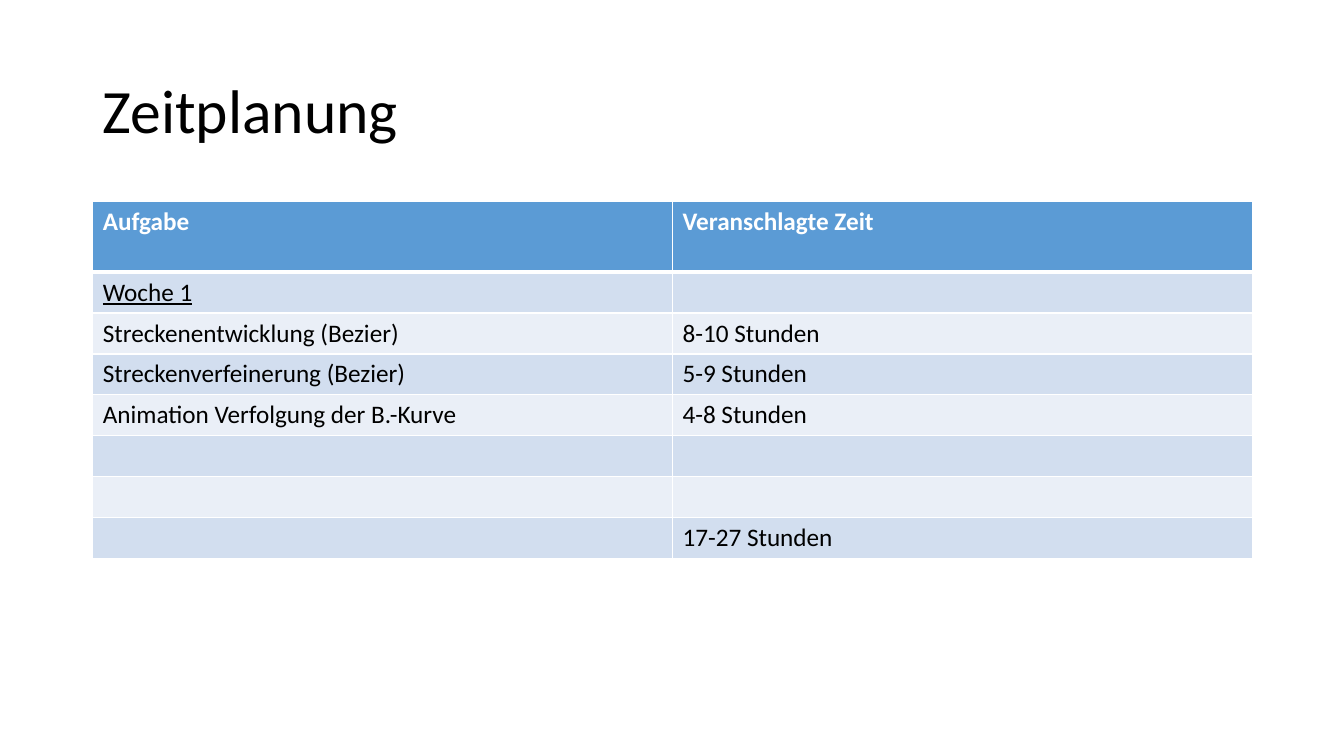
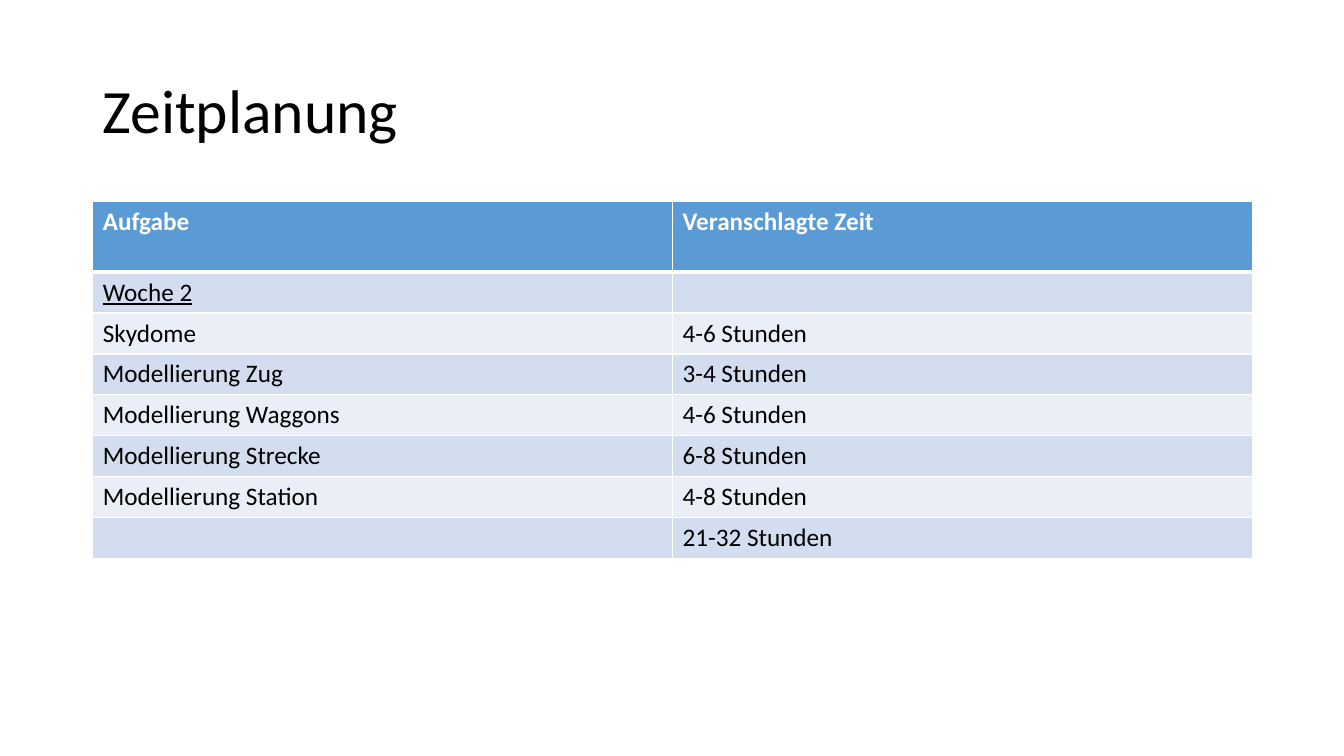
"""Builds two schedule slides, each with a title and a table of tasks and hours."""
from lxml import etree
from pptx import Presentation
from pptx.dml.color import RGBColor
from pptx.enum.text import MSO_ANCHOR
from pptx.oxml.ns import qn
from pptx.util import Inches, Pt

MIDDLE = MSO_ANCHOR.MIDDLE

TITLE = "Zeitplanung"
HEADER = ("Aufgabe", "Veranschlagte Zeit")
WEEKS = [
    [
        ("Woche 1", ""),
        ("Streckenentwicklung (Bezier)", "8-10 Stunden"),
        ("Streckenverfeinerung (Bezier)", "5-9 Stunden"),
        ("Animation Verfolgung der B.-Kurve", "4-8 Stunden"),
        ("", ""),
        ("", ""),
        ("", "17-27 Stunden"),
    ],
    [
        ("Woche 2", ""),
        ("Skydome", "4-6 Stunden"),
        ("Modellierung Zug", "3-4 Stunden"),
        ("Modellierung Waggons", "4-6 Stunden"),
        ("Modellierung Strecke", "6-8 Stunden"),
        ("Modellierung Station", "4-8 Stunden"),
        ("", "21-32 Stunden"),
    ],
]

COLORS = {
    "text": "000000",
    "white": "FFFFFF",
    "header": "5B9BD5",
    "odd": "D2DEEF",
    "even": "EAEFF7",
}
FORMATS = {
    "title": {"size": Pt(44), "color": "text"},
    "header": {"size": Pt(18), "color": "white", "bold": True},
    "week": {"size": Pt(18), "color": "text", "underline": True},
    "body": {"size": Pt(18), "color": "text"},
}
FONT = "Calibri"
WIDTH, HEIGHT = 13.33, 7.5
MARGIN, CONTENT_WIDTH = 0.92, 11.5
TITLE_TOP, TITLE_HEIGHT = 0.4, 1.45
TABLE_TOP, TABLE_HEIGHT, HEADER_HEIGHT = 2, 3.54, 0.7
THIN, THICK = 1, 3


def write(para, text, style):
    span = para.add_run()
    span.text = text
    span.font.name = FONT
    for name, value in FORMATS[style].items():
        if name == "color":
            span.font.color.rgb = RGBColor.from_string(COLORS[value])
        else:
            setattr(span.font, name, value)


def add_title(page):
    box = page.shapes.add_textbox(
        Inches(MARGIN), Inches(TITLE_TOP), Inches(CONTENT_WIDTH), Inches(TITLE_HEIGHT)
    )
    frame = box.text_frame
    frame.word_wrap = True
    frame.vertical_anchor = MIDDLE
    para = frame.paragraphs[0]
    para.line_spacing = 0.9
    write(para, TITLE, "title")


def add_borders(cell, row):
    widths = {
        "lnL": THIN,
        "lnR": THIN,
        "lnT": THICK if row == 1 else THIN,
        "lnB": THICK if row == 0 else THIN,
    }
    properties = cell._tc.get_or_add_tcPr()
    for side, width in widths.items():
        line = etree.SubElement(properties, qn(f"a:{side}"), w=str(Pt(width)))
        fill = etree.SubElement(line, qn("a:solidFill"))
        etree.SubElement(fill, qn("a:srgbClr"), val=COLORS["white"])


def add_schedule(page, tasks):
    rows = [HEADER, *tasks]
    table = page.shapes.add_table(
        len(rows), len(HEADER), Inches(MARGIN), Inches(TABLE_TOP),
        Inches(CONTENT_WIDTH), Inches(TABLE_HEIGHT),
    ).table
    body_height = (TABLE_HEIGHT - HEADER_HEIGHT) / len(tasks)
    for row, texts in enumerate(rows):
        table.rows[row].height = Inches(body_height if row else HEADER_HEIGHT)
        style = {0: "header", 1: "week"}.get(row, "body")
        shade = "header" if row == 0 else "odd" if row % 2 else "even"
        for column, text in enumerate(texts):
            cell = table.cell(row, column)
            add_borders(cell, row)
            cell.fill.solid()
            cell.fill.fore_color.rgb = RGBColor.from_string(COLORS[shade])
            if text:
                write(cell.text_frame.paragraphs[0], text, style)


def main():
    deck = Presentation()
    deck.slide_width, deck.slide_height = Inches(WIDTH), Inches(HEIGHT)
    for tasks in WEEKS:
        page = deck.slides.add_slide(deck.slide_layouts[6])
        add_title(page)
        add_schedule(page, tasks)
    deck.save("out.pptx")


if __name__ == "__main__":
    main()
